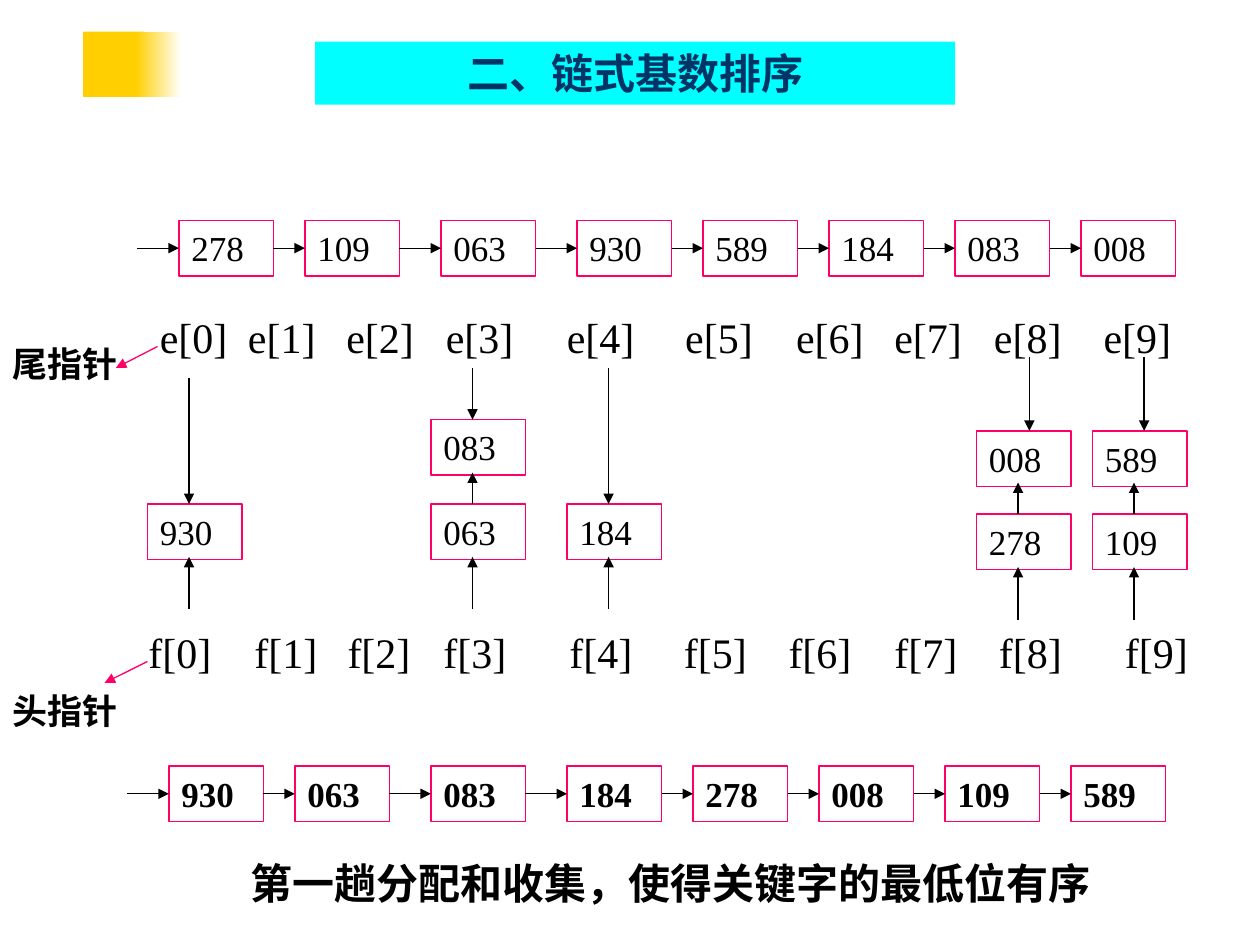
from lxml import etree
from pptx import Presentation
from pptx.dml.color import RGBColor
from pptx.enum.shapes import MSO_CONNECTOR, MSO_SHAPE
from pptx.enum.text import MSO_ANCHOR, PP_ALIGN
from pptx.oxml import parse_xml
from pptx.oxml.ns import nsdecls, qn
from pptx.util import Inches, Pt

rgb = RGBColor.from_string
PINK, YELLOW, BLACK = "FF0066", "FFCF01", "000000"
NODE_WIDTH, NODE_HEIGHT = 0.75, 0.44


def write(shape, text, size=20, bold=False, color=BLACK, align=PP_ALIGN.LEFT,
          anchor=MSO_ANCHOR.TOP, tabs=()):
    frame = shape.text_frame
    frame.word_wrap = True
    frame.vertical_anchor = anchor
    frame.margin_left = frame.margin_right = Inches(0.1)
    frame.margin_top = frame.margin_bottom = Inches(0.05)
    para = frame.paragraphs[0]
    para.alignment = align
    if tabs:
        tab_list = etree.SubElement(para._p.get_or_add_pPr(), qn("a:tabLst"))
        for stop in tabs:
            etree.SubElement(tab_list, qn("a:tab"), pos=str(Inches(stop)), algn="l")
    span = para.add_run()
    span.text = text
    span.font.name = "Times New Roman"
    span.font.size = Pt(size)
    span.font.bold = bold
    span.font.color.rgb = rgb(color)


def add_arrow(start, end, color=BLACK):
    arrow = slide.shapes.add_connector(
        MSO_CONNECTOR.STRAIGHT, *[Inches(value) for value in (*start, *end)])
    arrow.line.color.rgb = rgb(color)
    arrow.line.width = Pt(0.75)
    arrow.line._get_or_add_ln().append(
        parse_xml(f'<a:tailEnd {nsdecls("a")} type="triangle"/>'))
    etree.SubElement(arrow._element.spPr, qn("a:effectLst"))
    return arrow


deck = Presentation()
deck.slide_width, deck.slide_height = Inches(10), Inches(7.5)
slide = deck.slides.add_slide(deck.slide_layouts[5])

title = slide.shapes.title
title.left, title.top = Inches(2.5), Inches(0.33)
title.width, title.height = Inches(5.08), Inches(0.5)
title.fill.solid()
title.fill.fore_color.rgb = rgb("00FFFF")
write(title, "二、链式基数排序", size=24, bold=True, color="003366", align=PP_ALIGN.CENTER)

for left, width, faded in [(0.66, 0.48, False), (1.08, 0.36, True)]:
    block = slide.shapes.add_shape(
        MSO_SHAPE.RECTANGLE, Inches(left), Inches(0.25), Inches(width), Inches(0.52))
    block.shadow.inherit = False
    block.line.fill.background()
    if faded:
        block.fill.gradient()
        block.fill.gradient_angle = 0
        for stop, color in zip(block.fill.gradient_stops, (YELLOW, "FFFFFF")):
            stop.color.rgb = rgb(color)
    else:
        block.fill.solid()
        block.fill.fore_color.rgb = rgb(YELLOW)

chain_lefts = [1.42, 2.42, 3.5, 4.58, 5.58, 6.58, 7.58, 8.58]
input_keys = ["278", "109", "063", "930", "589", "184", "083", "008"]
output_keys = ["930", "063", "083", "184", "278", "008", "109", "589"]
chains = [
    [(key, left, 1.75, False) for key, left in zip(input_keys, chain_lefts)],
    [(key, left - 0.08, 6.08, True) for key, left in zip(output_keys, chain_lefts)],
]
buckets = [
    ("930", 1.17, 4, False),
    ("083", 3.42, 3.33, False), ("063", 3.42, 4, False),
    ("184", 4.5, 4, False),
    ("008", 7.75, 3.42, False), ("278", 7.75, 4.08, False),
    ("589", 8.67, 3.42, False), ("109", 8.67, 4.08, False),
]
for group in [*chains, buckets]:
    previous = None
    for key, left, top, bold in group:
        node = slide.shapes.add_shape(
            MSO_SHAPE.RECTANGLE, Inches(left), Inches(top),
            Inches(NODE_WIDTH), Inches(NODE_HEIGHT))
        node.shadow.inherit = False
        node.fill.background()
        node.line.color.rgb = rgb(PINK)
        node.line.width = Pt(0.75)
        write(node, key, bold=bold)
        if group is not buckets:
            middle = top + NODE_HEIGHT / 2
            link = add_arrow((left - 0.33, middle), (left, middle))
            if previous is not None:
                link.begin_connect(previous, 3)
            link.end_connect(node, 1)
            previous = node

for x, start, end in [
    (1.5, 3, 4), (3.75, 2.92, 3.33), (4.83, 2.92, 4), (8.17, 2.83, 3.42), (9.08, 2.83, 3.42),
    (1.5, 4.83, 4.42), (3.75, 4.83, 4.42), (4.83, 4.83, 4.42), (8.08, 4.92, 4.5), (9, 4.92, 4.5),
    (3.75, 4, 3.75), (8.08, 4.08, 3.83), (9, 4.08, 3.83),
]:
    add_arrow((x, start), (x, end))

add_arrow((1.25, 2.75), (0.92, 2.92), PINK)
add_arrow((1.17, 5.25), (0.83, 5.42), PINK)

tail_tabs = [0.7, 1.48, 2.27, 3.23, 4.17, 5.05, 5.83, 6.62, 7.49]
head_tabs = [0.84, 1.58, 2.34, 3.34, 4.25, 5.08, 5.92, 6.75, 7.75]
for letter, left, top, tabs in [("e", 1.17, 2.42, tail_tabs), ("f", 1.08, 4.92, head_tabs)]:
    box = slide.shapes.add_textbox(
        Inches(left), Inches(top), Inches(10 - left), Inches(0.5))
    write(box, "\t".join(f"{letter}[{digit}]" for digit in range(10)), size=24, tabs=tabs)

for text, left, top, width, height, size in [
    ("尾指针", 0, 2.67, 1.33, 0.44, 20),
    ("头指针", 0, 5.42, 1.33, 0.44, 20),
    ("第一趟分配和收集，使得关键字的最低位有序", 1.89, 6.76, 7.45, 0.5, 24),
]:
    box = slide.shapes.add_textbox(Inches(left), Inches(top), Inches(width), Inches(height))
    write(box, text, size=size, bold=True)

deck.save("out.pptx")
